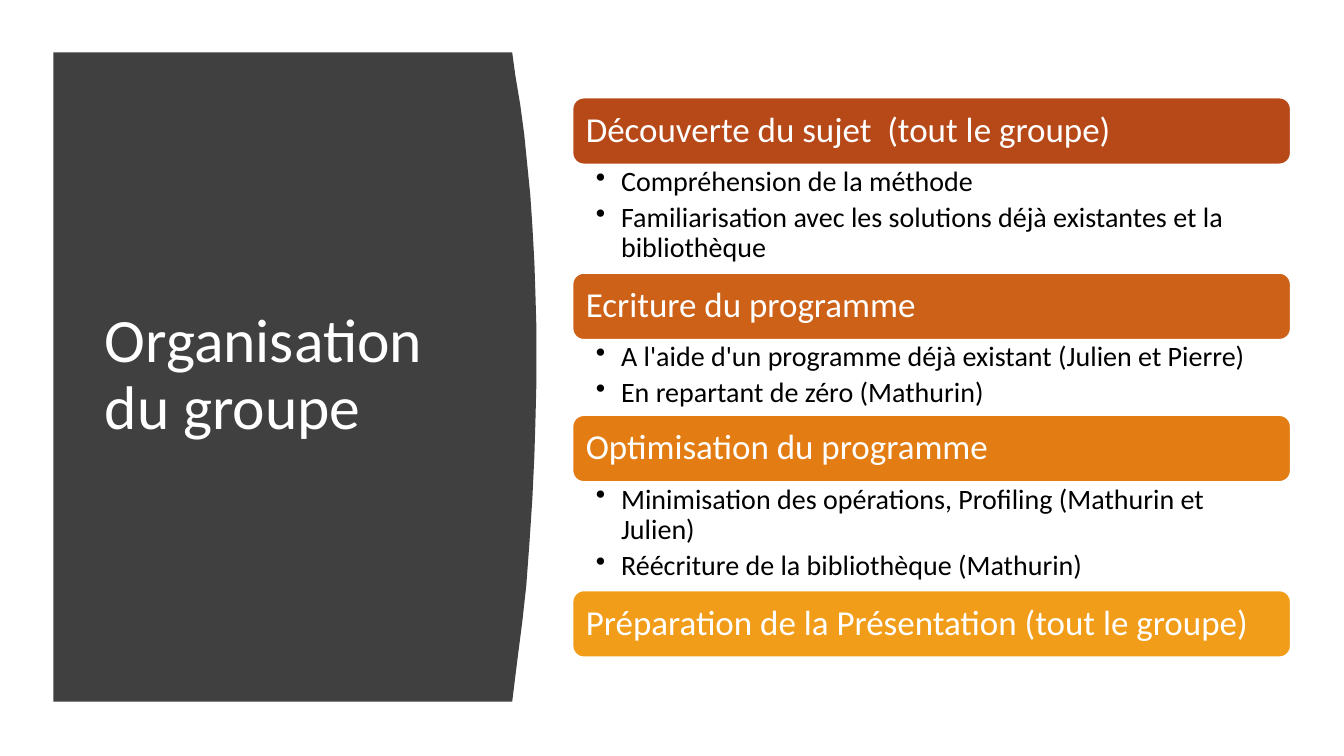
from dataclasses import dataclass

import pptx
import pptx.dml.color
import pptx.enum.shapes
import pptx.enum.text
import pptx.oxml
import pptx.oxml.ns
import pptx.util
from pptx.util import Inches


@dataclass(frozen=True)
class Theme:
    font: str = "Calibri"
    panel: str = "404040"
    light: str = "FFFFFF"
    dark: str = "000000"
    title_size: int = 44
    heading_size: int = 25
    bullet_size: int = 20


theme = Theme()
rgb = pptx.dml.color.RGBColor.from_string
anchors = pptx.enum.text.MSO_ANCHOR


def prepare_frame(shape, anchor, margins):
    """Set wrapping, anchor and margins (left, top, right, bottom, in inches)."""
    frame = shape.text_frame
    frame.word_wrap = True
    frame.vertical_anchor = anchor
    for side, margin in zip(("left", "top", "right", "bottom"), margins):
        setattr(frame, f"margin_{side}", Inches(margin))
    return frame


def write_paragraph(paragraph, text, size, color):
    paragraph.alignment = pptx.enum.text.PP_ALIGN.LEFT
    paragraph.line_spacing = 0.9
    run = paragraph.add_run()
    run.text = text
    font_format = {"name": theme.font, "size": pptx.util.Pt(size)}
    for name, value in font_format.items():
        setattr(run.font, name, value)
    run.font.color.rgb = rgb(color)


presentation = pptx.Presentation()
presentation.slide_width = Inches(13.33)
presentation.slide_height = Inches(7.5)
slide = presentation.slides.add_slide(presentation.slide_layouts[6])

# Dark panel with a curved right edge
panel_left, panel_top, panel_bottom = 0.53, 0.52, 6.96
curved_edge = [
    (5.08, panel_top), (5.11, 0.74), (5.16, 1.04), (5.2, 1.34), (5.23, 1.64),
    (5.26, 1.94), (5.28, 2.24), (5.3, 2.6), (5.31, 2.9), (5.32, 3.25),
    (5.32, 3.8), (5.31, 4.2), (5.3, 4.52), (5.28, 4.95), (5.25, 5.4),
    (5.22, 5.81), (5.18, 6.17), (5.14, 6.48), (5.11, 6.72), (5.08, panel_bottom),
]
builder = slide.shapes.build_freeform(Inches(panel_left), Inches(panel_top))
outline = curved_edge + [(panel_left, panel_bottom)]
builder.add_line_segments([(Inches(x), Inches(y)) for x, y in outline], close=True)
panel = builder.convert_to_shape()
panel.shadow.inherit = False
panel.fill.solid()
panel.fill.fore_color.rgb = rgb(theme.panel)
panel.line.fill.background()

title = slide.shapes.add_textbox(Inches(0.94), Inches(1.11), Inches(3.74), Inches(5.24))
title_frame = prepare_frame(title, anchors.MIDDLE, (0.1, 0.05, 0.1, 0.05))
write_paragraph(title_frame.paragraphs[0], "Organisation du groupe", theme.title_size, theme.light)

# Steps: heading, bar colour, height of the bullet area, bullets
steps = [
    ("Découverte du sujet  (tout le groupe)", "B74919", 1.08, [
        "Compréhension de la méthode",
        "Familiarisation avec les solutions déjà existantes et la bibliothèque",
    ]),
    ("Ecriture du programme", "CD6117", 0.75, [
        "A l'aide d'un programme déjà existant (Julien et Pierre)",
        "En repartant de zéro (Mathurin)",
    ]),
    ("Optimisation du programme", "E37D13", 1.08, [
        "Minimisation des opérations, Profiling (Mathurin et Julien)",
        "Réécriture de la bibliothèque (Mathurin)",
    ]),
    ("Préparation de la Présentation (tout le groupe)", "F19D19", 0, []),
]
step_left, step_width, bar_height = 5.68, 7.12, 0.66
top = 0.97

for heading, bar_color, bullets_height, bullets in steps:
    bar = slide.shapes.add_shape(
        pptx.enum.shapes.MSO_SHAPE.ROUNDED_RECTANGLE,
        Inches(step_left), Inches(top), Inches(step_width), Inches(bar_height),
    )
    bar.shadow.inherit = False
    bar.fill.solid()
    bar.fill.fore_color.rgb = rgb(bar_color)
    bar.line.color.rgb = rgb(theme.light)
    bar.line.width = pptx.util.Pt(1)
    bar_frame = prepare_frame(bar, anchors.MIDDLE, (0.1, 0.05, 0.1, 0.05))
    write_paragraph(bar_frame.paragraphs[0], heading, theme.heading_size, theme.light)
    top += bar_height

    if bullets:
        box = slide.shapes.add_textbox(
            Inches(step_left), Inches(top), Inches(step_width), Inches(bullets_height)
        )
        box_frame = prepare_frame(box, anchors.TOP, (0.23, 0.03, 0.19, 0.03))
        for index, bullet in enumerate(bullets):
            paragraph = box_frame.add_paragraph() if index else box_frame.paragraphs[0]
            properties = paragraph._p.get_or_add_pPr()
            properties.set("marL", str(Inches(0.25)))
            properties.set("indent", str(-Inches(0.25)))
            bullet_mark = pptx.oxml.parse_xml(
                f'<a:buChar {pptx.oxml.ns.nsdecls("a")} char="•"/>'
            )
            properties.append(bullet_mark)
            paragraph.space_after = pptx.util.Pt(4)
            write_paragraph(paragraph, bullet, theme.bullet_size, theme.dark)
        top += bullets_height

presentation.save("out.pptx")
